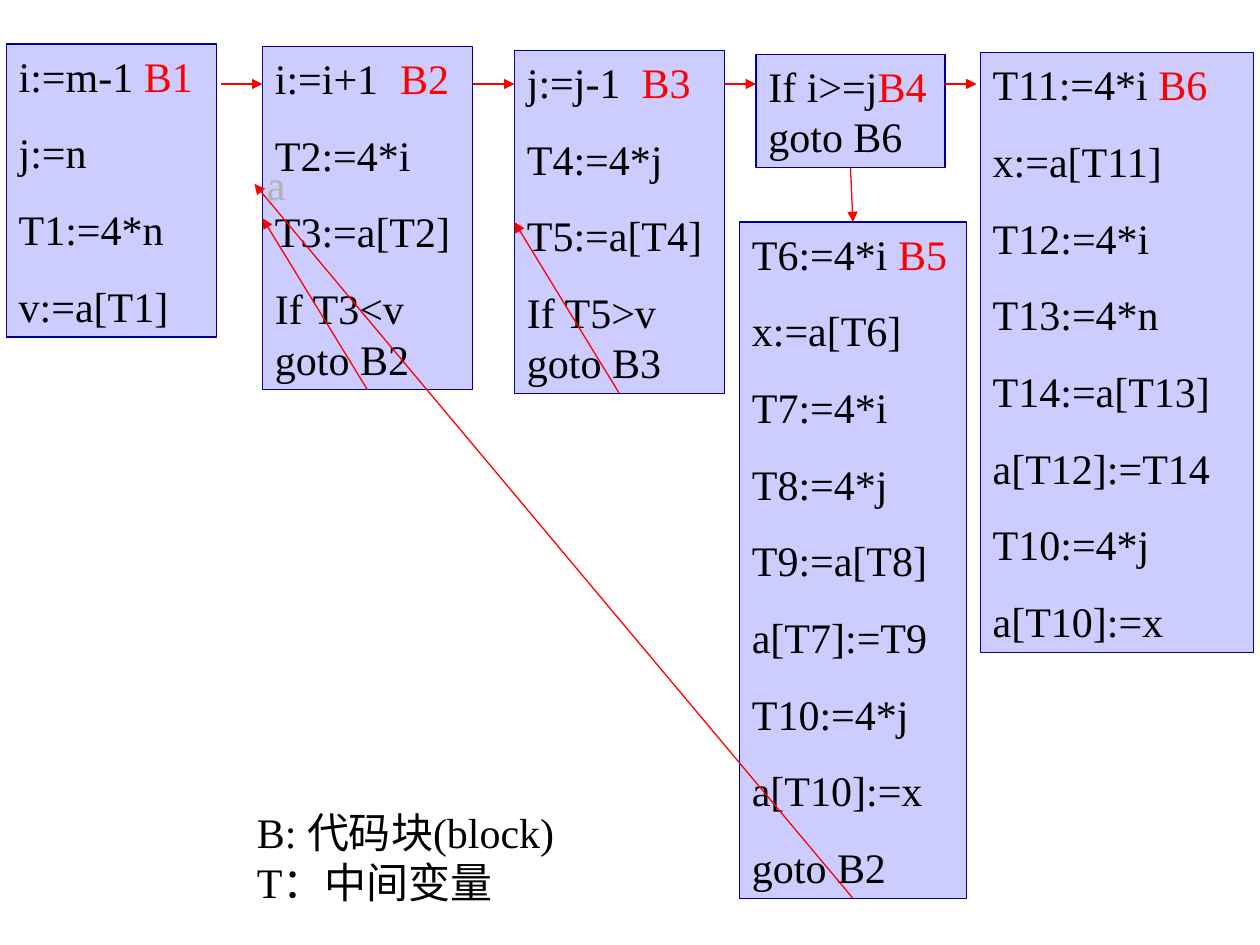
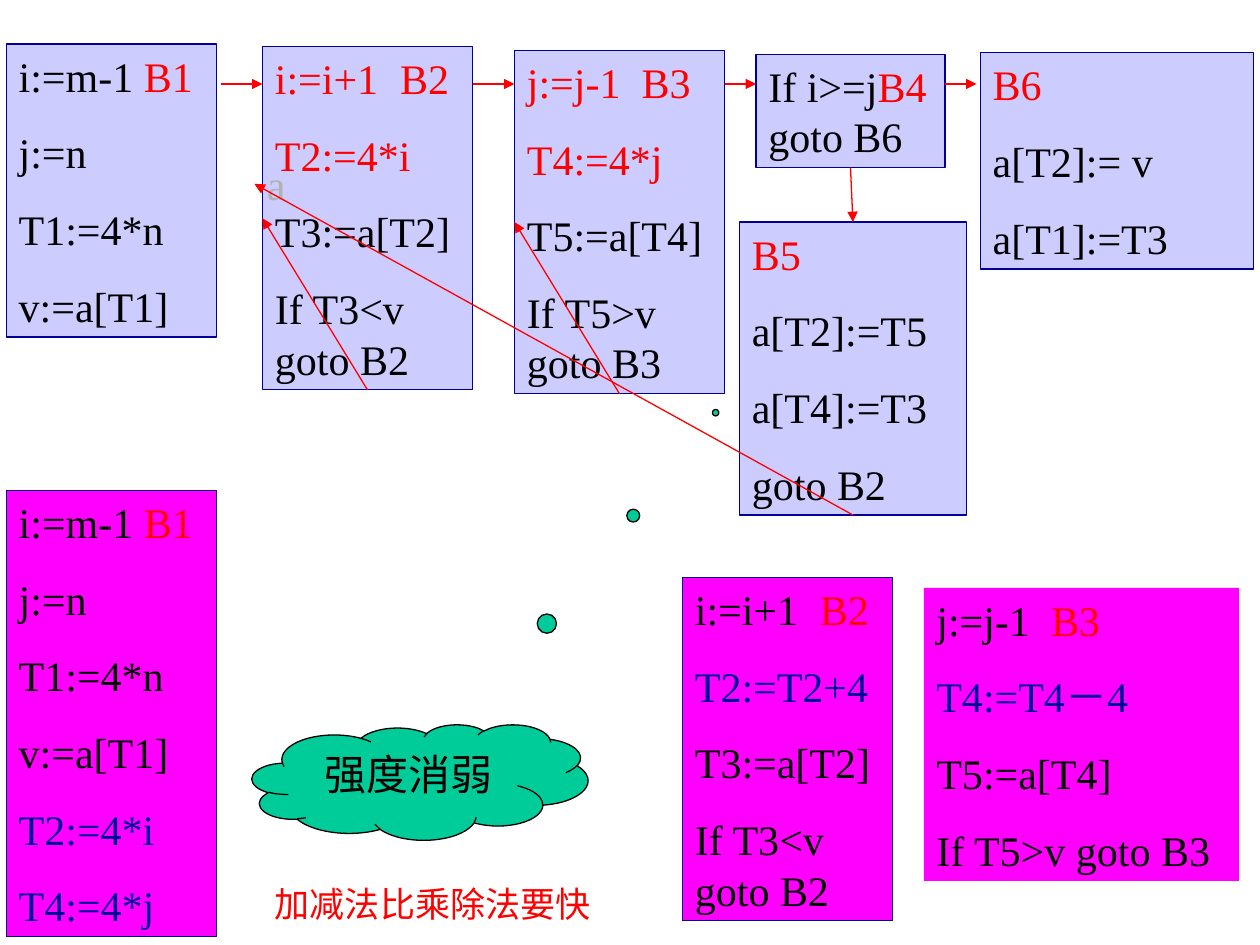
from lxml import etree
from pptx import Presentation
from pptx.dml.color import RGBColor
from pptx.enum import shapes, text
from pptx.oxml.ns import qn
from pptx.util import Pt

FONT = "Times New Roman"
BLACK, RED, NAVY, GRAY = "000000", "FF0000", "000099", "B2B2B2"
LILAC, MAGENTA, GREEN = "CCCCFF", "FF00FF", "00CC99"
LINE, GAP, INSET = 28.8, 15, 3.6
TOP, LEFT, BOTTOM = 0, 1, 2

# A code line is a string in black, or a list of (text, colour) runs.
B1 = [[("i:=m-1 ", BLACK), ("B1", RED)], "j:=n", "T1:=4*n", "v:=a[T1]"]
B2_HEAD = [("i:=i+1\t", BLACK), ("B2", RED)]
B3_HEAD = [("j:=j-1\t", BLACK), ("B3", RED)]
B2_TAIL = ["T3:=a[T2]", "If T3<v goto B2"]
B3_TAIL = ["T5:=a[T4]", "If T5>v goto B3"]
B4 = [[("If i>=j", BLACK), ("B4", RED), (" goto B6", BLACK)]]

FIRST_CODE = {
    "B1": B1,
    "B2": [B2_HEAD, "T2:=4*i"] + B2_TAIL,
    "B3": [B3_HEAD, "T4:=4*j"] + B3_TAIL,
    "B4": B4,
    "B5": [[("T6:=4*i ", BLACK), ("B5", RED)], "x:=a[T6]", "T7:=4*i", "T8:=4*j",
           "T9:=a[T8]", "a[T7]:=T9", "T10:=4*j", "a[T10]:=x", "goto B2"],
    "B6": [[("T11:=4*i", BLACK), (" B6", RED)], "x:=a[T11]", "T12:=4*i", "T13:=4*n",
           "T14:=a[T13]", "a[T12]:=T14", "T10:=4*j", "a[T10]:=x"],
}
REDUCED_CODE = {
    "B1": B1,
    "B2": [[("i:=i+1\tB2", RED)], [("T2:=4*i", RED)]] + B2_TAIL,
    "B3": [[("j:=j-1\tB3", RED)], [("T4:=4*j", RED)]] + B3_TAIL,
    "B4": B4,
    "B5": [[("B5", RED)], "a[T2]:=T5", "a[T4]:=T3", "goto B2"],
    "B6": [[("B6", RED)], "a[T2]:= v", "a[T1]:=T3"],
}
# left, top, width, wrapped lines, tab stop
BLOCK_PLACES = {
    "B1": (3.6, 25.2, 120, 0, None),
    "B2": (150, 26.6, 120, 1, 71.5),
    "B3": (294, 28.8, 120, 1, 65.5),
    "B4": (432, 31, 108, 1, None),
    "B6": (560.2, 30.2, 156.2, 0, None),
    "B5": (422.6, 126.9, 129.6, 0, None),
}
# code, place, outline
REWRITTEN_BLOCKS = [
    ([B3_HEAD, [("T4:=T4－4", NAVY)]] + B3_TAIL, (528, 336, 180, 0, 65.5), None),
    ([B2_HEAD, [("T2:=T2+4", NAVY)]] + B2_TAIL, (390, 330, 120, 1, 71.5), NAVY),
    (B1 + [[("T2:=4*i", NAVY)], [("T4:=4*j", NAVY)]], (3.6, 280.2, 120, 0, None), NAVY),
]
FLOW_Y = 48
FLOW_SPANS = [(126, 150), (270, 294), (414, 432), (540, 558)]
LEGEND = ["B: 代码块(block)", "T：中间变量"]
CLOUD_LABEL = "强度消弱"
SPEED_NOTE = "加减法比乘除法要快"


def rgb(value):
    return RGBColor.from_string(value)


def fill_text(sp, lines, size=24, gap=0, color=BLACK, tab=None, align=None):
    tf = sp.text_frame
    tf.word_wrap = True
    tf.vertical_anchor = text.MSO_ANCHOR.TOP
    for i, line in enumerate(lines):
        p = tf.paragraphs[0] if i == 0 else tf.add_paragraph()
        if tab and i == 0:
            tabs = etree.SubElement(p._p.get_or_add_pPr(), qn("a:tabLst"))
            etree.SubElement(tabs, qn("a:tab"), pos=str(Pt(tab)), algn="l")
        p.alignment = align or text.PP_ALIGN.LEFT
        p.line_spacing = Pt(LINE * size / 24)
        p.space_before = Pt(gap if i else 0)
        for words, run_color in [(line, color)] if isinstance(line, str) else line:
            r = p.add_run()
            r.text = words
            r.font.name, r.font.size = FONT, Pt(size)
            r.font.color.rgb = rgb(run_color)


def add_label(s, box, lines, **style):
    sp = s.shapes.add_textbox(*map(Pt, box))
    fill_text(sp, lines, **style)
    return sp


def add_filled(s, kind, box, fill, outline):
    sp = s.shapes.add_shape(kind, *map(Pt, box))
    sp.shadow.inherit = False
    sp.fill.solid()
    sp.fill.fore_color.rgb = rgb(fill)
    if outline:
        sp.line.color.rgb = rgb(outline)
        sp.line.width = Pt(0.75)
    else:
        sp.line.fill.background()
    return sp


def add_block(s, code, place, fill=LILAC, outline=NAVY):
    """Add a code block whose height follows from its number of lines."""
    left, top, width, wrapped, tab = place
    height = 2 * INSET + LINE * (len(code) + wrapped) + GAP * (len(code) - 1)
    sp = add_filled(s, shapes.MSO_SHAPE.RECTANGLE, (left, top, width, height), fill, outline)
    fill_text(sp, code, gap=GAP, tab=tab)
    return sp


def add_arrow(s, x1=0, y1=0, x2=0, y2=0):
    c = s.shapes.add_connector(shapes.MSO_CONNECTOR.STRAIGHT, *map(Pt, (x1, y1, x2, y2)))
    c.line.color.rgb = rgb(RED)
    c.line.width = Pt(0.75)
    etree.SubElement(c.line._get_or_add_ln(), qn("a:tailEnd"), type="triangle")
    etree.SubElement(c._element.spPr, qn("a:effectLst"))
    return c


def add_flow_graph(prs, code):
    s = prs.slides.add_slide(prs.slide_layouts[6])
    blocks = {name: add_block(s, code[name], place) for name, place in BLOCK_PLACES.items()}
    entry = add_label(s, (145.4, 87.1, 24, 36), ["a"], color=GRAY)
    for start, end in FLOW_SPANS:
        add_arrow(s, start, FLOW_Y, end, FLOW_Y)
    for source, target, side in [(blocks["B4"], blocks["B5"], TOP),
                                 (blocks["B2"], blocks["B2"], LEFT),
                                 (blocks["B3"], blocks["B3"], LEFT),
                                 (blocks["B5"], entry, LEFT)]:
        c = add_arrow(s)
        c.begin_connect(source, BOTTOM)
        c.end_connect(target, side)
    return s


def main():
    prs = Presentation()
    prs.slide_width, prs.slide_height = Pt(720), Pt(540)

    s = add_flow_graph(prs, FIRST_CODE)
    add_label(s, (139.7, 457.2, 196, 64.8), LEGEND)

    s = add_flow_graph(prs, REDUCED_CODE)
    cloud = add_filled(s, shapes.MSO_SHAPE.CLOUD_CALLOUT, (144, 414, 192, 66), GREEN, BLACK)
    cloud.adjustments[0], cloud.adjustments[1] = 0.88, -3.2
    fill_text(cloud, [CLOUD_LABEL], align=text.PP_ALIGN.CENTER)
    for code, place, outline in REWRITTEN_BLOCKS:
        add_block(s, code, place, MAGENTA, outline)
    add_label(s, (150, 501, 196.6, 31.5), [SPEED_NOTE], size=20, color=RED)

    prs.save("out.pptx")


if __name__ == "__main__":
    main()
